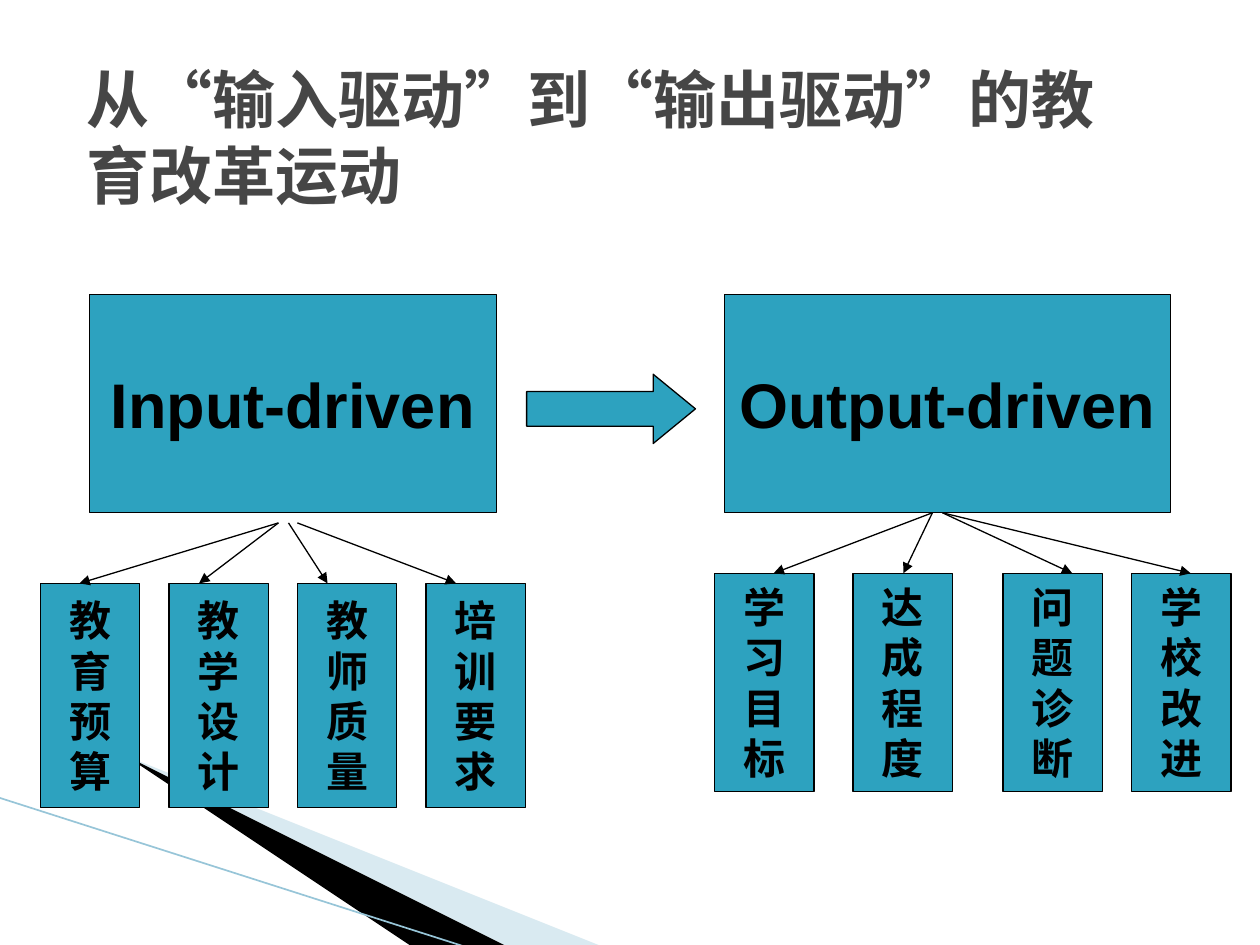
import pptx
import pptx.dml.color
import pptx.enum.dml
import pptx.enum.lang
import pptx.enum.shapes
import pptx.enum.text
import pptx.oxml
import pptx.oxml.ns
import pptx.util

RGBColor = pptx.dml.color.RGBColor
Inches = pptx.util.Inches
Pt = pptx.util.Pt
SHAPE = pptx.enum.shapes.MSO_SHAPE
ALIGN = pptx.enum.text.PP_ALIGN
ANCHOR = pptx.enum.text.MSO_ANCHOR
CHINESE = pptx.enum.lang.MSO_LANGUAGE_ID.SIMPLIFIED_CHINESE

TEAL = RGBColor(0x2D, 0xA2, 0xBF)
PALE = RGBColor(0xA0, 0xCB, 0xDC)
EDGE = RGBColor(0x97, 0xC5, 0xD8)
BLACK = RGBColor(0, 0, 0)
GREY = RGBColor(0x46, 0x46, 0x46)

LEAF_WIDTH = 0.79


def sub_element(parent, tag, **attributes):
    child = pptx.oxml.parse_xml("<%s %s/>" % (tag, pptx.oxml.ns.nsdecls("a")))
    for name, value in attributes.items():
        child.set(name, value)
    parent.append(child)


def add_line(page, start, end, color, width, arrow=False):
    line = page.shapes.add_connector(
        pptx.enum.shapes.MSO_CONNECTOR.STRAIGHT,
        *[Inches(value) for value in (*start, *end)])
    line.line.color.rgb = color
    line.line.width = Pt(width)
    if arrow:
        sub_element(line.line._get_or_add_ln(), "a:tailEnd", type="triangle")
    sub_element(line._element.spPr, "a:effectLst")


def add_block(page, kind, box, lines=(), size=24):
    """Outlined teal shape with one centred paragraph for each line."""
    block = page.shapes.add_shape(kind, *[Inches(value) for value in box])
    block.shadow.inherit = False
    block.fill.solid()
    block.fill.fore_color.rgb = TEAL
    block.line.color.rgb = BLACK
    block.line.width = Pt(0.75)
    if lines:
        frame = block.text_frame
        frame.text = "\n".join(lines)
        frame.word_wrap = False
        frame.vertical_anchor = ANCHOR.MIDDLE
        for para in frame.paragraphs:
            para.alignment = ALIGN.CENTER
            para.font.name = "Arial"
            para.font.size = Pt(size)
            para.font.bold = True
            para.font.color.rgb = BLACK
    return block


def add_wedge(page, points, color, opacity=None):
    builder = page.shapes.build_freeform(*points[0], scale=Inches(1))
    builder.add_line_segments(points[1:], close=True)
    wedge = builder.convert_to_shape()
    wedge.shadow.inherit = False
    wedge.fill.solid()
    wedge.fill.fore_color.rgb = color
    wedge.line.fill.background()
    if opacity:
        tint = wedge._element.spPr.find(".//" + pptx.oxml.ns.qn("a:srgbClr"))
        sub_element(tint, "a:alpha", val=str(opacity * 1000))


def draw_corner(page, left, top):
    """Sweeping wedges that start at the left edge."""
    def at(*points):
        return [(left + x, top + y) for x, y in points]

    add_wedge(page, at((0.55, 0.17), (5.95, 1.18), (4.56, 1.18)), PALE, 40)
    add_wedge(page, at((0.53, 0.16), (4.57, 1.18), (3.72, 1.19)), BLACK)
    add_line(page, *at((-0.01, 0), (3.71, 1.19)), EDGE, 0.95)


def draw_title(page, box, text):
    title = page.shapes.title
    title.left, title.top, title.width, title.height = map(Inches, box)
    frame = title.text_frame
    frame.text = text
    frame.word_wrap = True
    frame.vertical_anchor = ANCHOR.MIDDLE
    para = frame.paragraphs[0]
    para.alignment = ALIGN.LEFT
    para.font.name = "DejaVu Sans Mono"
    para.font.size = Pt(36)
    para.font.bold = True
    para.font.color.rgb = GREY
    para.runs[0].font.language_id = CHINESE


def draw_tree(page, box, heading, leaves, leaf_top, leaf_height, arrow_top):
    """Heading box; leaves are (text, left, arrow start, arrow end),
    with horizontal places measured from the left of the heading box."""
    left = box[0]
    add_block(page, SHAPE.RECTANGLE, box, [heading], 36)
    for text, leaf_left, start, end in leaves:
        add_block(page, SHAPE.RECTANGLE,
                  (left + leaf_left, leaf_top, LEAF_WIDTH, leaf_height), text)
        add_line(page, (left + start, arrow_top), (left + end, leaf_top),
                 BLACK, 0.75, arrow=True)


deck = pptx.Presentation()
deck.slide_width, deck.slide_height = Inches(10), Inches(7.5)
page = deck.slides.add_slide(deck.slide_layouts.get_by_name("Title Only"))

# Background and title
draw_corner(page, 0, 6.33)
draw_title(page, (0.59, 0.44, 8.24, 1.28),
           "从“输入驱动”到“输出驱动”的教育改革运动")

# From input to output
arrow = add_block(page, SHAPE.RIGHT_ARROW, (4.18, 2.97, 1.34, 0.55))
arrow.adjustments[0] = 0.5
arrow.adjustments[1] = 0.61

# Input side: evenly spaced leaves
input_leaves = [
    (text, -0.39 + 1.02 * column, start, end)
    for column, (text, start, end) in enumerate([
        ("教育预算", 1.5, -0.08), ("教学设计", 1.5, 0.87),
        ("教师质量", 1.58, 1.89), ("培训要求", 1.65, 2.91)])]
draw_tree(page, (0.71, 2.34, 3.23, 1.73), "Input-driven", input_leaves,
          leaf_top=4.63, leaf_height=1.78, arrow_top=4.15)

# Output side
output_leaves = [
    ("学习目标", -0.08, 1.65, 0.39), ("达成程度", 1.02, 1.65, 1.42),
    ("问题诊断", 2.21, 1.73, 2.76), ("学校改进", 3.23, 1.73, 3.7)]
draw_tree(page, (5.75, 2.34, 3.54, 1.73), "Output-driven", output_leaves,
          leaf_top=4.55, leaf_height=1.73, arrow_top=4.07)

deck.save("out.pptx")
